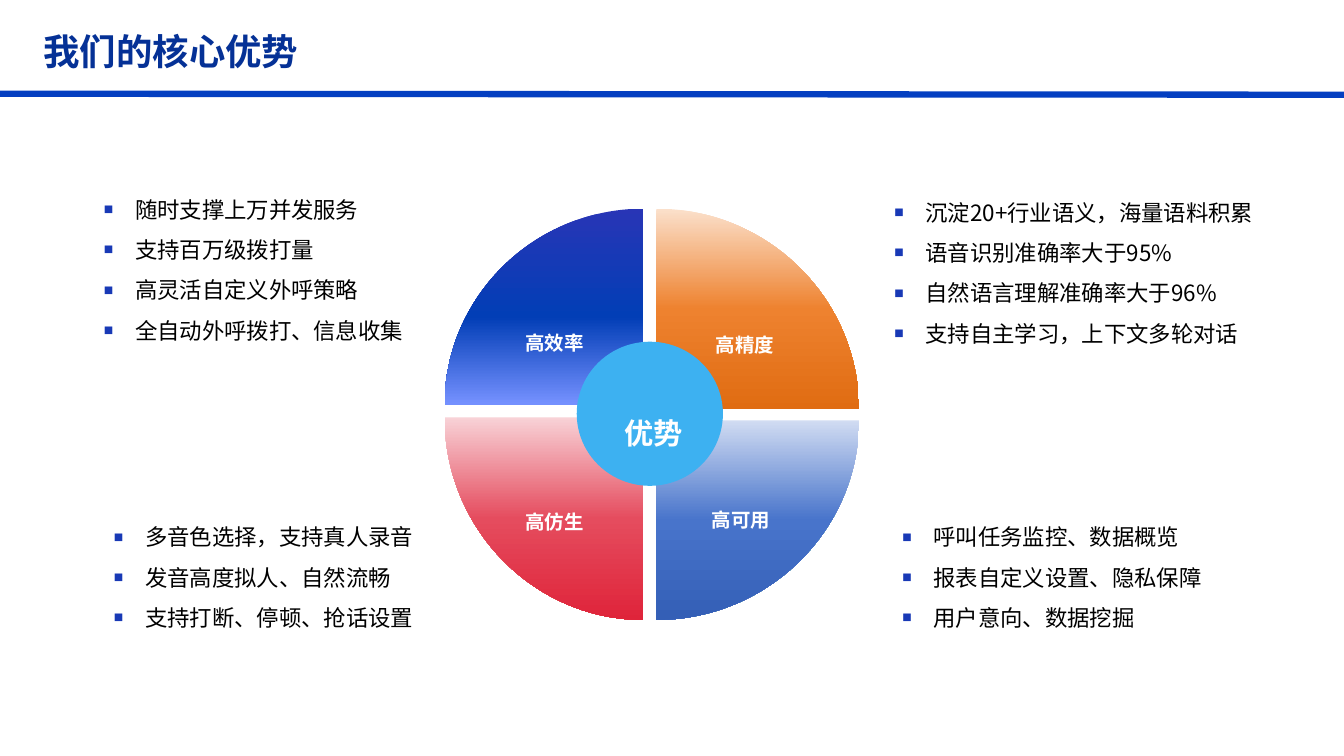
"""Build the slide on the four core advantages."""
from dataclasses import dataclass

from lxml import etree
from pptx import Presentation
from pptx.dml.color import RGBColor
from pptx.enum.shapes import MSO_CONNECTOR, MSO_SHAPE
from pptx.enum.text import MSO_ANCHOR, MSO_AUTO_SIZE, PP_ALIGN
from pptx.oxml.ns import qn
from pptx.util import Pt

STRAIGHT = MSO_CONNECTOR.STRAIGHT
OVAL = MSO_SHAPE.OVAL
TOP, MIDDLE = MSO_ANCHOR.TOP, MSO_ANCHOR.MIDDLE
FIT, FIXED = MSO_AUTO_SIZE.SHAPE_TO_FIT_TEXT, MSO_AUTO_SIZE.NONE
LEFT, CENTER = PP_ALIGN.LEFT, PP_ALIGN.CENTER
EMU_PER_PX = 9144
COMPARISON_LAYOUT = 4
ARC_PULL = 0.55
NOTCH = 8


@dataclass(frozen=True)
class Theme:
    """Fonts, colours and type sizes of the slide."""

    font: str = "Noto Sans CJK SC"
    hub_font: str = "Noto Sans CJK KR"
    bullet_font: str = "Arial"
    title: str = "053196"
    rule: str = "043FC1"
    text: str = "000000"
    bullet: str = "1839B6"
    label: str = "FFFFFF"
    hub: str = "3DB1F1"
    title_size: int = 26
    body_size: int = 16
    label_size: int = 24
    hub_size: int = 36
    rule_width: float = 4.5


THEME = Theme()

LISTS = (
    ((93, 176, 364, 172), ("随时支撑上万并发服务", "支持百万级拨打量",
                           "高灵活自定义外呼策略", "全自动外呼拨打、信息收集")),
    ((877, 179, 398, 172), ("沉淀20+行业语义，海量语料积累", "语音识别准确率大于95%",
                            "自然语言理解准确率大于96%", "支持自主学习，上下文多轮对话")),
    ((103, 501, 348, 172), ("多音色选择，支持真人录音", "发音高度拟人、自然流畅",
                            "支持打断、停顿、抢话设置")),
    ((885, 501, 324, 172), ("呼叫任务监控、数据概览", "报表自定义设置、隐私保障",
                            "用户意向、数据挖掘")),
)

QUADRANTS = (
    ((651, 417), (201, 198), ((0, "D1DCF2"), (50, "4874CB"), (100, "345FB6"))),
    ((651, 406), (201, -199), ((0, "FBE0CB"), (50, "EE822F"), (100, "E06C12"))),
    ((638, 402), (-197, -195), ((0, "2835B6"), (55, "023EB6"), (99, "7490FE"))),
    ((638, 414), (-197, 201), ((0, "F8D2D7"), (50, "E54C5E"), (100, "DF243A"))),
)

LABELS = (
    ("高效率", (511, 301, 85, 36), THEME.hub_font),
    ("高可用", (696, 477, 85, 36), THEME.font),
    ("高仿生", (511, 479, 85, 36), THEME.font),
    ("高精度", (700, 303, 127, 36), THEME.font),
)


def px(length):
    """Turn pixels into EMU."""
    return round(length * EMU_PER_PX)


def place(shape, bounds):
    """Move and size a shape."""
    shape.left, shape.top, shape.width, shape.height = map(px, bounds)


def style(para, size, color, font=THEME.font, bold=False, align=LEFT):
    """Format a whole paragraph and return its character properties."""
    para.alignment = align
    para.space_before = Pt(0)
    para.font.size = Pt(size)
    para.font.bold = bold
    para.font.name = font
    para.font.color.rgb = RGBColor.from_string(color)
    properties = para._p.pPr.find(qn("a:defRPr"))
    etree.SubElement(properties, qn("a:ea"), typeface=font)
    return properties


def add_bullet(para):
    """Give a paragraph a small square bullet with a hanging indent."""
    properties = para._p.get_or_add_pPr()
    properties.set("marL", str(px(31)))
    properties.set("indent", str(px(-31)))
    color = etree.SubElement(properties, qn("a:buClr"))
    etree.SubElement(color, qn("a:srgbClr"), val=THEME.bullet)
    etree.SubElement(properties, qn("a:buSzPct"), val="70000")
    etree.SubElement(properties, qn("a:buFont"), typeface=THEME.bullet_font)
    etree.SubElement(properties, qn("a:buChar"), char="■")


def fill_title(box, text):
    """Place and format the slide title."""
    place(box, (33, 24, 1111, 54))
    frame = box.text_frame
    frame.text = text
    frame.auto_size = FIXED
    frame.vertical_anchor = MIDDLE
    style(frame.paragraphs[0], THEME.title_size, THEME.title, bold=True)


def fill_list(box, bounds, items):
    """Place a body placeholder and write its bulleted items."""
    place(box, bounds)
    frame = box.text_frame
    frame.text = "\n".join(items)
    frame.auto_size = FIT
    frame.vertical_anchor = TOP
    for para in frame.paragraphs:
        para.line_spacing = 1.5
        para.space_before = Pt(0)
        add_bullet(para)
        style(para, THEME.body_size, THEME.text)


def add_rule(slide):
    """Draw the line under the title."""
    rule = slide.shapes.add_connector(STRAIGHT, 0, px(93), px(1337), px(94))
    rule.line.color.rgb = RGBColor.from_string(THEME.rule)
    rule.line.width = Pt(THEME.rule_width)
    etree.SubElement(rule._element.spPr, qn("a:effectLst"))


def bend(segment, start, tip, end):
    """Turn a straight path segment into a quarter ellipse bulging to the tip."""
    pulls = [[round(near + ARC_PULL * (far - near)) for near, far in zip(point, tip)]
             for point in (start, end)]
    curve = etree.Element(qn("a:cubicBezTo"))
    for x, y in (*pulls, end):
        etree.SubElement(curve, qn("a:pt"), x=str(x), y=str(y))
    segment.getparent().replace(segment, curve)


def add_quadrant(slide, corner, radii, stops):
    """Draw a quarter of the wheel with a notched corner and a gradient."""
    x, y = map(px, corner)
    far_x, far_y = (px(side + radius) for side, radius in zip(corner, radii))
    near_x, near_y = (px(side + (NOTCH if radius > 0 else -NOTCH))
                      for side, radius in zip(corner, radii))
    points = [(x, near_y), (x, far_y), (far_x, y), (near_x, y), (x, near_y)]
    builder = slide.shapes.build_freeform(*points[0], scale=1.0)
    builder.add_line_segments(points[1:], close=True)
    quadrant = builder.convert_to_shape()
    quadrant.shadow.inherit = False
    quadrant.line.fill.background()

    segments = quadrant._element.spPr.findall(".//" + qn("a:lnTo"))
    for index, tip in ((1, (far_x, far_y)), (3, (near_x, near_y))):
        local = [(across - quadrant.left, down - quadrant.top)
                 for across, down in (points[index], tip, points[index + 1])]
        bend(segments[index], *local)

    quadrant.fill.gradient()
    quadrant.fill.gradient_angle = 270
    stop_list = quadrant._element.spPr.find(".//" + qn("a:gsLst"))
    stop_list.clear()
    for percent, color in stops:
        stop = etree.SubElement(stop_list, qn("a:gs"), pos=str(percent * 1000))
        etree.SubElement(stop, qn("a:srgbClr"), val=color)


def add_hub(slide):
    """Draw the disc in the middle of the wheel."""
    hub = slide.shapes.add_shape(OVAL, *map(px, (572, 339, 145, 143)))
    hub.shadow.inherit = False
    hub.fill.solid()
    hub.fill.fore_color.rgb = RGBColor.from_string(THEME.hub)
    hub.line.fill.background()


def add_label(slide, text, bounds, font, size=THEME.label_size, align=LEFT):
    """Write a lowered bold label on the wheel."""
    frame = slide.shapes.add_textbox(*map(px, bounds)).text_frame
    frame.text = text
    frame.auto_size = FIT
    properties = style(frame.paragraphs[0], size, THEME.label, font, True, align)
    properties.set("baseline", "-25000")


def main():
    """Build and save the deck."""
    deck = Presentation()
    deck.slide_width, deck.slide_height = px(1333), px(750)
    slide = deck.slides.add_slide(deck.slide_layouts[COMPARISON_LAYOUT])
    title, *bodies = slide.placeholders
    fill_title(title, "我们的核心优势")
    for body, (bounds, items) in zip(bodies, LISTS):
        fill_list(body, bounds, items)
    add_rule(slide)
    for quadrant in QUADRANTS:
        add_quadrant(slide, *quadrant)
    add_hub(slide)
    for label in LABELS:
        add_label(slide, *label)
    add_label(slide, "优势", (606, 374, 85, 49), THEME.hub_font, THEME.hub_size, CENTER)
    deck.save("out.pptx")


if __name__ == "__main__":
    main()
